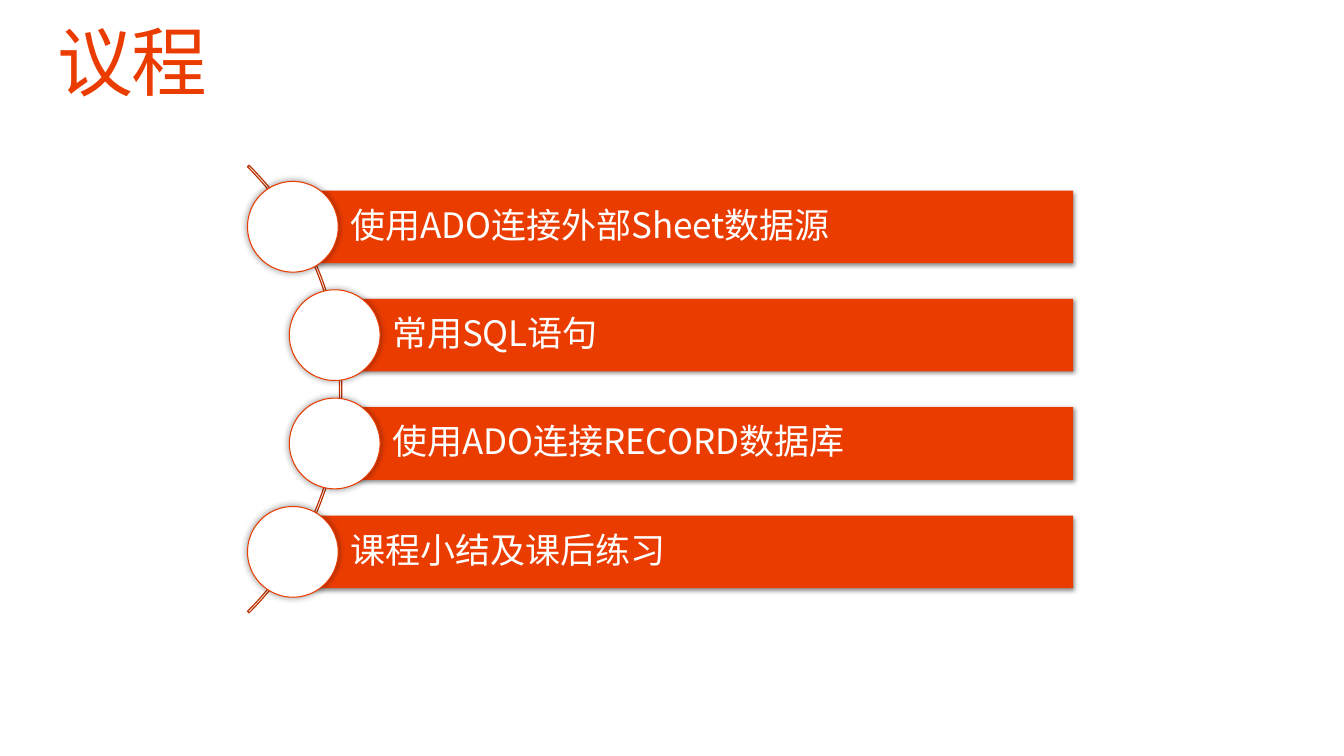
import pptx
import pptx.util
import pptx.dml.color
import pptx.enum.shapes
import pptx.enum.text
import pptx.oxml
import pptx.oxml.ns
from lxml import etree

COLORS = {"accent": "EB3C00", "arc": "BC3000", "white": "FFFFFF", "shadow": "000000"}
TITLE_FONT = "Karla"
BODY_FONT = "Noto Sans CJK SC"
ROWS = 75
SHAPES = pptx.enum.shapes.MSO_SHAPE
ANCHORS = pptx.enum.text.MSO_ANCHOR


class AgendaPage:
    def __init__(self, deck):
        self.unit = deck.slide_height / ROWS
        self.page = deck.slides.add_slide(deck.slide_layouts[5])

    def grid(self, *lengths):
        return [round(length * self.unit) for length in lengths]

    def color(self, name):
        return pptx.dml.color.RGBColor.from_string(COLORS[name])

    def label(self, box, text, font, size, color, anchor, insets):
        frame = box.text_frame
        frame.word_wrap = True
        frame.auto_size = pptx.enum.text.MSO_AUTO_SIZE.NONE
        frame.vertical_anchor = anchor
        (frame.margin_left, frame.margin_top,
         frame.margin_right, frame.margin_bottom) = self.grid(*insets)
        para = frame.paragraphs[0]
        para.alignment = pptx.enum.text.PP_ALIGN.LEFT
        para.line_spacing = 0.9
        span = para.add_run()
        span.text = text
        span.font.name = font
        span.font.size = pptx.util.Pt(size)
        span.font.color.rgb = self.color(color)
        properties = span.font._element
        east_asian = etree.Element(pptx.oxml.ns.qn("a:ea"), typeface=BODY_FONT)
        properties.find(pptx.oxml.ns.qn("a:latin")).addnext(east_asian)
        return span

    def title(self, text, *place):
        box = self.page.shapes.title
        box.left, box.top, box.width, box.height = self.grid(*place)
        span = self.label(box, text, TITLE_FONT, 54, "accent", ANCHORS.TOP, (0, 0, 0, 0))
        span.font._element.set("spc", "-100")

    def shape(self, kind, place, fill=None, line=None, width=0.75):
        shape = self.page.shapes.add_shape(kind, *self.grid(*place))
        if fill:
            shape.fill.solid()
            shape.fill.fore_color.rgb = self.color(fill)
        else:
            shape.fill.background()
        if line:
            shape.line.color.rgb = self.color(line)
            shape.line.width = pptx.util.Pt(width)
        else:
            shape.line.fill.background()
        shape.shadow.inherit = False
        return shape

    def cast_shadow(self, shape, opacity, blur, distance, angle):
        effects = shape._element.spPr.find(pptx.oxml.ns.qn("a:effectLst"))
        effects.append(pptx.oxml.parse_xml(
            f'<a:outerShdw {pptx.oxml.ns.nsdecls("a")} blurRad="{pptx.util.Pt(blur)}" '
            f'dist="{pptx.util.Pt(distance)}" dir="{angle * 60000}" rotWithShape="0">'
            f'<a:srgbClr val="{COLORS["shadow"]}"><a:alpha val="{opacity * 1000}"/>'
            f'</a:srgbClr></a:outerShdw>'))

    def arc(self, center_x, center_y, radius):
        place = (center_x - radius, center_y - radius, 2 * radius, 2 * radius)
        arc = self.shape(SHAPES.BLOCK_ARC, place, line="arc", width=0.85)
        for index, value in enumerate((189, 27, 0.0034)):
            arc.adjustments[index] = value

    def bar(self, text, left, right, middle, height):
        place = (left, middle - height / 2, right - left, height)
        bar = self.shape(SHAPES.RECTANGLE, place, fill="accent")
        self.cast_shadow(bar, 45, 3.5, 1.1, 90)
        self.label(bar, text, BODY_FONT, 25, "white", ANCHORS.MIDDLE, (5.7, 0.7, 0.7, 0.7))

    def circle(self, center, middle, size):
        place = (center - size / 2, middle - size / 2, size, size)
        circle = self.shape(SHAPES.OVAL, place, fill="white", line="accent")
        self.cast_shadow(circle, 40, 5, 0, 0)


deck = pptx.Presentation()
deck.slide_width = pptx.util.Inches(13.33)
deck.slide_height = pptx.util.Inches(7.5)

agenda = AgendaPage(deck)
agenda.title("议程", 5.7, 2.5, 121.9, 8.2)
agenda.arc(2.5, 38.6, 31.4)

OUTER, INNER, BAR_RIGHT = 29.05, 33.2, 106.45
FIRST_MIDDLE, PITCH = 22.5, 10.75
topics = [
    ("使用ADO连接外部Sheet数据源", OUTER),
    ("常用SQL语句", INNER),
    ("使用ADO连接RECORD数据库", INNER),
    ("课程小结及课后练习", OUTER),
]
for row, (topic, left) in enumerate(topics):
    middle = FIRST_MIDDLE + row * PITCH
    agenda.bar(topic, left, BAR_RIGHT, middle, 7.2)
    agenda.circle(left, middle, 9)

deck.save("out.pptx")
